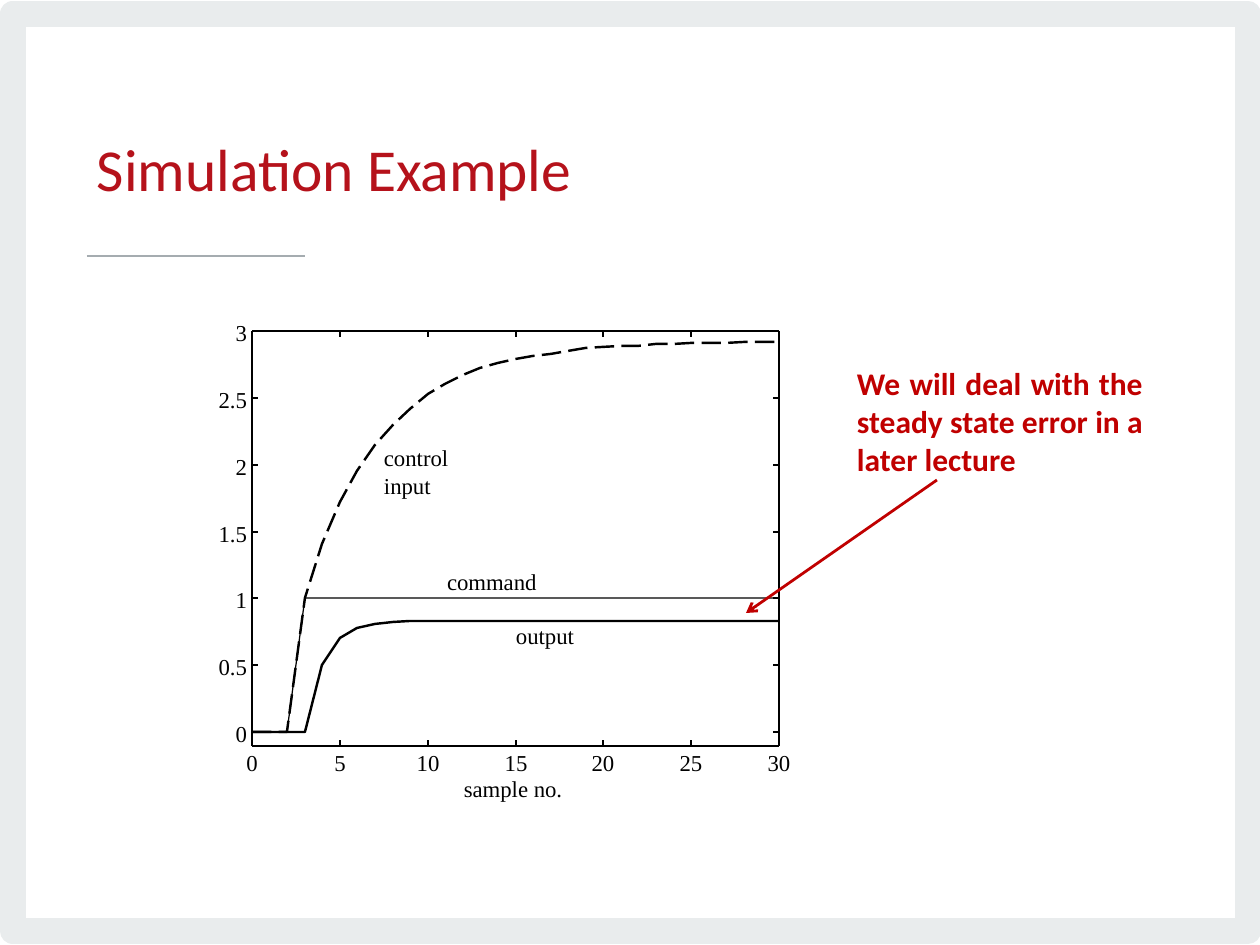
from lxml.etree import SubElement
from pptx import Presentation
from pptx.dml.color import RGBColor
from pptx.enum.dml import MSO_LINE as Dash
from pptx.enum.shapes import MSO_CONNECTOR as Connector
from pptx.enum.shapes import MSO_SHAPE as Shape
from pptx.enum.text import MSO_ANCHOR as Anchor
from pptx.enum.text import PP_ALIGN as Align
from pptx.oxml.ns import qn
from pptx.util import Pt

EMU_PER_PX = 914400 / 126
BLACK = RGBColor(0x00, 0x00, 0x00)
FRAME_GRAY = RGBColor(0xE9, 0xEC, 0xED)
RULE_GRAY = RGBColor(0xA5, 0xAC, 0xB0)
TITLE_RED = RGBColor(0xB5, 0x12, 0x1B)
NOTE_RED = RGBColor(0xC0, 0x00, 0x00)
SANS, SERIF = "Calibri", "Times New Roman"

LEFT, TOP, RIGHT, BOTTOM = 252, 331, 779, 746
ZERO_Y = 732
X_MAX, X_STEP = 30, 5
Y_MAX, Y_STEP = 3, 0.5
TICK = 6
THIN, THICK = 0.7, 1.4

COMMAND = [0] * 3 + [1] * 28
OUTPUT = [0] * 4 + [0.5, 0.7, 0.78, 0.81, 0.82] + [0.83] * 22
CONTROL_INPUT = [
    0, 0, 0, 1, 1.41, 1.72, 1.95, 2.15, 2.3, 2.42, 2.53, 2.6, 2.67, 2.72, 2.76, 2.79,
    2.81, 2.83, 2.85, 2.87, 2.88, 2.89, 2.89, 2.9, 2.9, 2.91, 2.91, 2.91, 2.92, 2.92, 2.92,
]


def px(*lengths):
    return [round(length * EMU_PER_PX) for length in lengths]


def sample_x(sample):
    return round(LEFT + (RIGHT - LEFT) * sample / X_MAX)


def value_y(value):
    return round(ZERO_Y - (ZERO_Y - TOP) * value / Y_MAX)


def write_text(shape, text, *, font=SERIF, size=13, color=BLACK, bold=False,
               align=Align.LEFT, margin_left=0, margin_top=0):
    frame = shape.text_frame
    frame.word_wrap = True
    frame.vertical_anchor = Anchor.TOP
    frame.margin_left, frame.margin_top = px(margin_left, margin_top)
    frame.margin_right = frame.margin_bottom = 0
    frame.text = text
    paragraph = frame.paragraphs[0]
    paragraph.alignment = align
    paragraph.font.name, paragraph.font.size, paragraph.font.bold = font, Pt(size), bold
    paragraph.font.color.rgb = color


def add_label(slide, box, text, **text_format):
    write_text(slide.shapes.add_textbox(*px(*box)), text, **text_format)


def add_line(slide, start, end, color=BLACK, width=THIN, arrow=False):
    line = slide.shapes.add_connector(Connector.STRAIGHT, *px(*start, *end))
    line.line.color.rgb, line.line.width = color, Pt(width)
    if arrow:
        SubElement(line.line._get_or_add_ln(), qn("a:tailEnd"), type="arrow")
    SubElement(line._element.spPr, qn("a:effectLst"))


def add_curve(slide, values, width, dash=Dash.SOLID):
    points = [(sample_x(sample), value_y(value)) for sample, value in enumerate(values)]
    builder = slide.shapes.build_freeform(*points[0], scale=EMU_PER_PX)
    builder.add_line_segments(points[1:], close=False)
    curve = builder.convert_to_shape()
    curve.shadow.inherit = False
    curve.fill.background()
    curve.line.color.rgb, curve.line.width, curve.line.dash_style = BLACK, Pt(width), dash


def add_frame(slide):
    frame = slide.shapes.add_shape(Shape.RECTANGLE, *px(13, 14, 1235, 917))
    frame.shadow.inherit = False
    frame.fill.background()
    frame.line.color.rgb, frame.line.width = FRAME_GRAY, Pt(15.2)


def set_title(slide, text):
    title = slide.shapes.title
    title.left, title.top, title.width, title.height = px(88, 101, 1084, 126)
    write_text(title, text, font=SANS, size=34, color=TITLE_RED, margin_left=9, margin_top=31)


def add_axes(slide):
    corners = [(LEFT, TOP), (RIGHT, TOP), (RIGHT, BOTTOM), (LEFT, BOTTOM)]
    for start, end in zip(corners, corners[1:] + corners[:1]):
        add_line(slide, start, end)
    for sample in range(0, X_MAX + 1, X_STEP):
        x = sample_x(sample)
        if 0 < sample < X_MAX:
            add_line(slide, (x, BOTTOM), (x, BOTTOM - TICK))
            add_line(slide, (x, TOP), (x, TOP + TICK))
        add_label(slide, (x - 15, 749, 30, 27), str(sample), align=Align.CENTER)
    for step in range(int(Y_MAX / Y_STEP) + 1):
        value = step * Y_STEP
        y = value_y(value)
        if value < Y_MAX:
            add_line(slide, (LEFT, y), (LEFT + TICK, y))
            add_line(slide, (RIGHT, y), (RIGHT - TICK, y))
        add_label(slide, (215, y - 12, 32, 27), f"{value:g}", align=Align.RIGHT)
    add_label(slide, (462, 775, 102, 27), "sample no.", align=Align.CENTER)


def main():
    presentation = Presentation()
    presentation.slide_width, presentation.slide_height = px(1260, 945)
    slide = presentation.slides.add_slide(presentation.slide_layouts[5])
    add_frame(slide)
    add_line(slide, (87, 256), (305, 256), RULE_GRAY, 1.5)
    set_title(slide, "Simulation Example")
    add_axes(slide)
    add_curve(slide, COMMAND, THIN)
    add_curve(slide, OUTPUT, THICK)
    add_curve(slide, CONTROL_INPUT, THICK, Dash.LONG_DASH)
    add_label(slide, (447, 568, 94, 27), "command")
    add_label(slide, (516, 622, 64, 27), "output")
    add_label(slide, (384, 444, 100, 54), "control input")
    add_label(slide, (857, 364, 286, 111), "We will deal with the steady state error in a later lecture",
              font=SANS, size=18, color=NOTE_RED, bold=True, align=Align.JUSTIFY)
    add_line(slide, (937, 480), (746, 613), NOTE_RED, 1.6, arrow=True)
    presentation.save("out.pptx")


if __name__ == "__main__":
    main()
